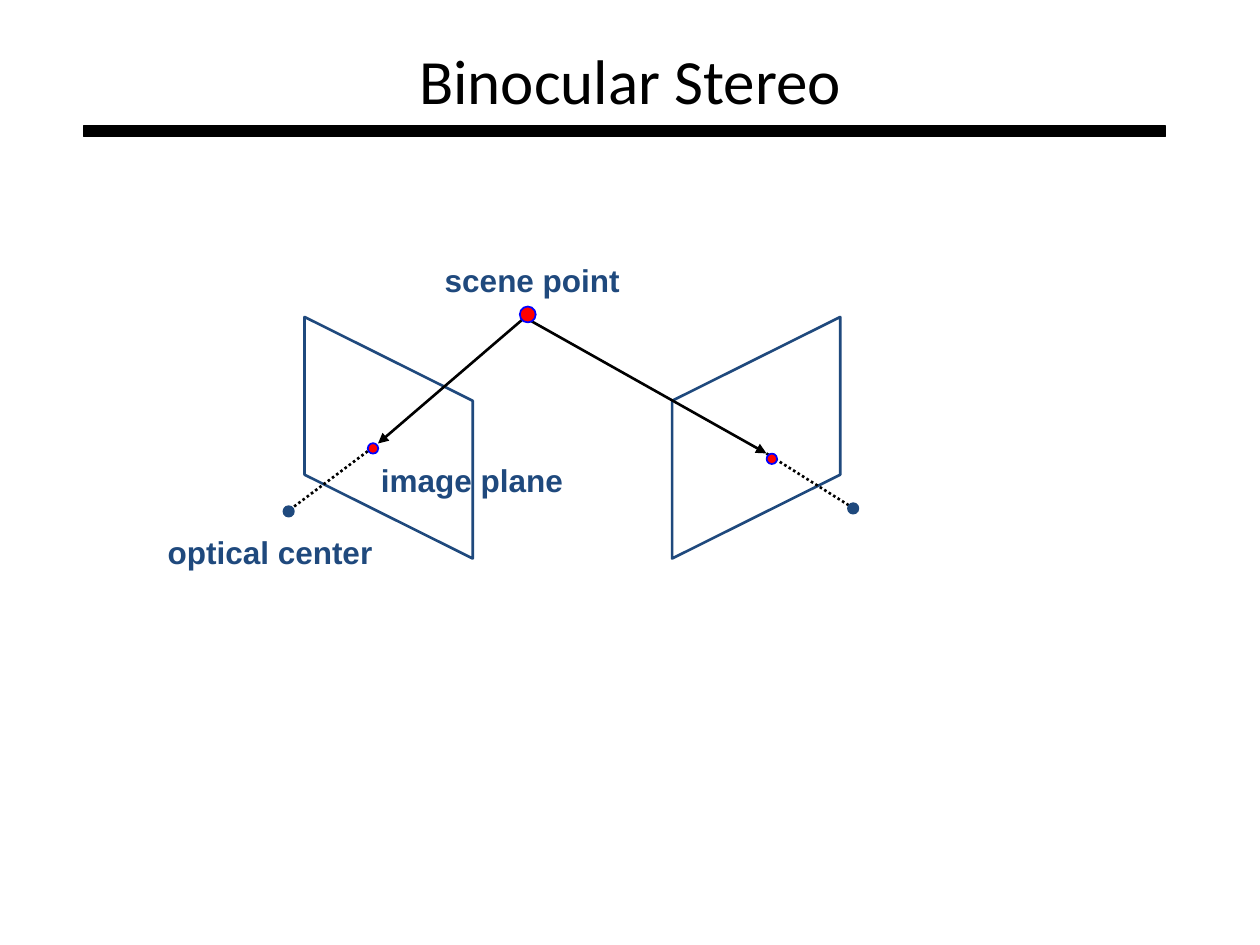
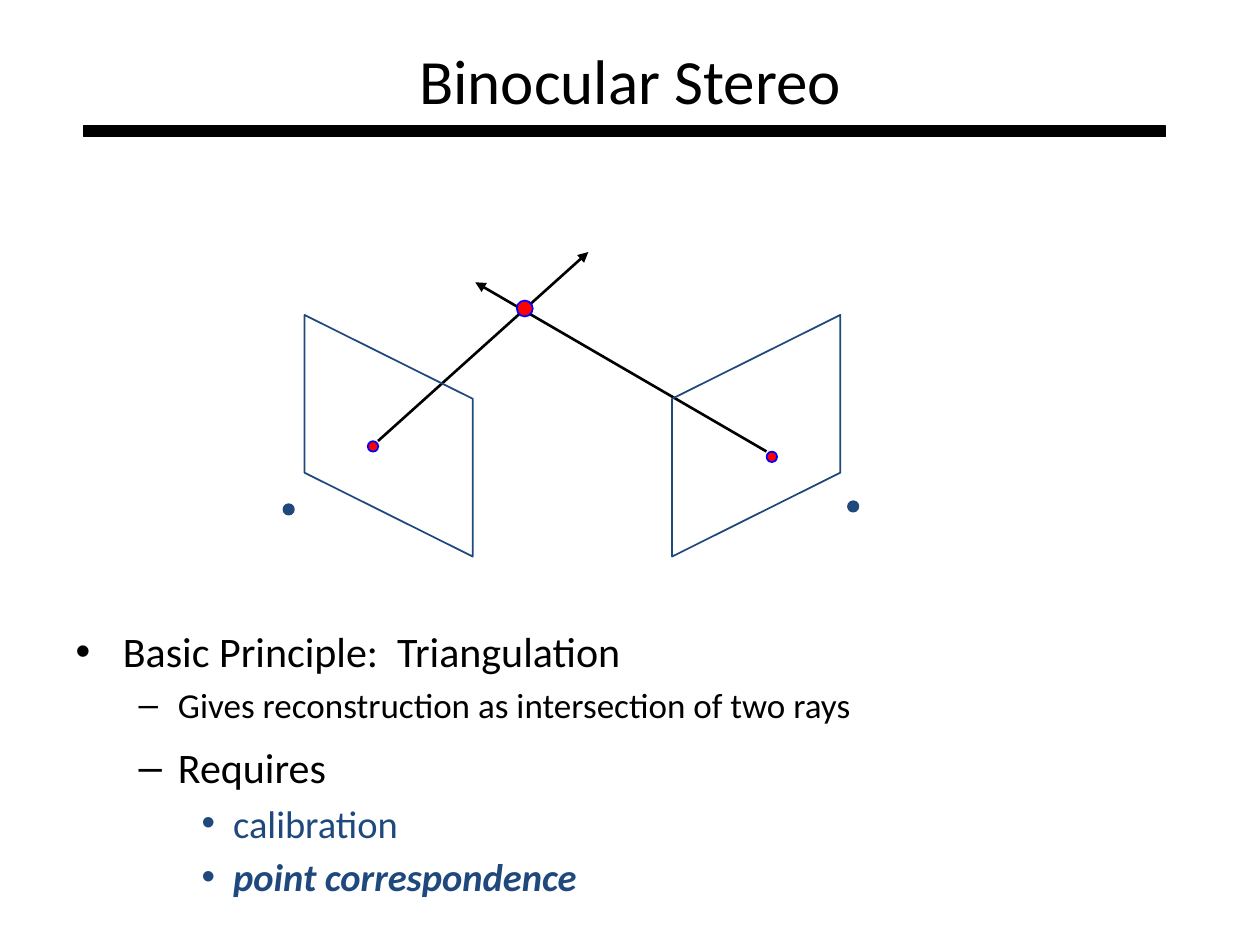
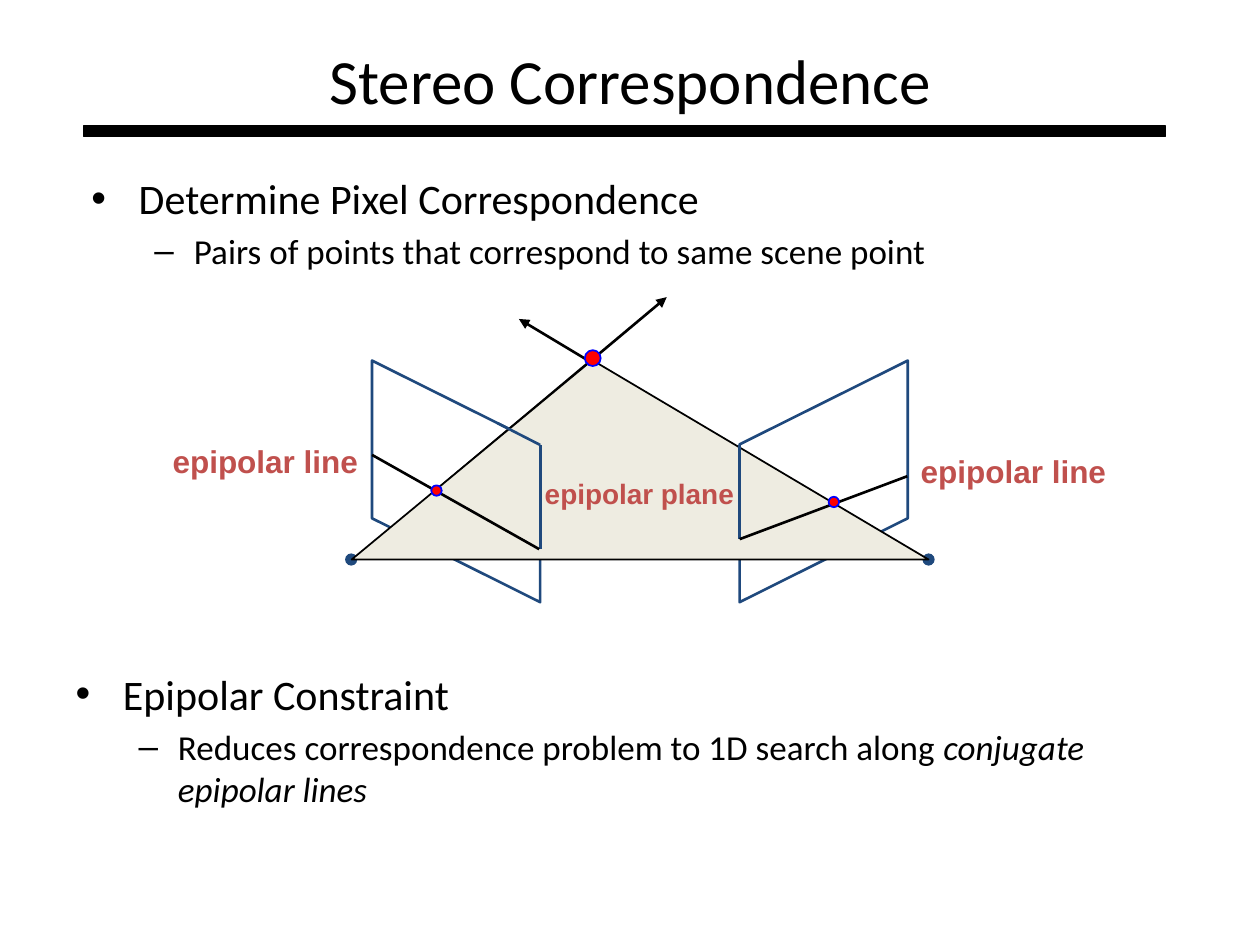
"""Build three slides on binocular stereo and the epipolar constraint."""
from typing import Any, NamedTuple

from lxml.etree import SubElement
from pptx import Presentation
from pptx.dml.color import RGBColor
from pptx.enum.dml import MSO_LINE
from pptx.enum.shapes import MSO_CONNECTOR, MSO_SHAPE
from pptx.enum.text import MSO_ANCHOR, MSO_AUTO_SIZE, PP_ALIGN
from pptx.oxml.ns import qn
from pptx.shapes.base import BaseShape
from pptx.slide import Slide
from pptx.util import Cm, Pt

BLACK, NAVY, RED, BLUE = "000000", "1F497D", "FF0000", "0000FF"
BRICK, CREAM = "C0504D", "EEECE1"
TITLE_ONLY, TWO_CONTENT = 5, 3
PLANE_WIDTH, PLANE_SIDE, PLANE_DROP, PLANE_STEP = 3.39, 3.18, 1.69, 7.41
TITLE_FORMAT = {"name": "Calibri", "size": Pt(36), "bold": False}

Point = tuple[float, float]


class Dot(NamedTuple):
    center: Point
    fill: str = RED
    line: str = BLUE
    diameter: float = 0.21


class Ray(NamedTuple):
    start: Point
    end: Point
    color: str = BLACK
    arrow: bool = False
    dotted: bool = False


class Label(NamedTuple):
    text: str
    left: float
    top: float
    width: float
    color: str = NAVY
    size: float = 18
    height: float = 1.02


class Item(NamedTuple):
    text: str
    level: int = 0
    size: float = 24
    color: str = BLACK
    bold: bool = False
    italic: bool = False
    italic_end: str = ""


def rgb(color: str) -> RGBColor:
    return RGBColor.from_string(color)


def apply(target: Any, formats: dict[str, Any]) -> None:
    for attribute, value in formats.items():
        setattr(target, attribute, value)


def paint(shape: BaseShape, fill: str | None, line: str, width: float) -> None:
    shape.shadow.inherit = False
    if fill:
        shape.fill.solid()
        shape.fill.fore_color.rgb = rgb(fill)
    else:
        shape.fill.background()
    shape.line.color.rgb = rgb(line)
    shape.line.width = Pt(width)


def place(shape: BaseShape, left: float, top: float, width: float, height: float) -> None:
    apply(shape, {"left": Cm(left), "top": Cm(top), "width": Cm(width), "height": Cm(height)})


def start_slide(deck: Any, layout: int, heading: str) -> Slide:
    slide = deck.slides.add_slide(deck.slide_layouts[layout])
    title = slide.shapes.title
    place(title, 1.91, 0, 21.59, 3.18)
    title.text_frame.text = heading
    apply(title.text_frame, {"auto_size": MSO_AUTO_SIZE.NONE, "vertical_anchor": MSO_ANCHOR.MIDDLE})
    paragraph = title.text_frame.paragraphs[0]
    paragraph.alignment = PP_ALIGN.CENTER
    apply(paragraph.runs[0].font, TITLE_FORMAT)
    paragraph.runs[0].font.color.rgb = rgb(BLACK)
    rule = slide.shapes.add_shape(MSO_SHAPE.RECTANGLE, Cm(1.69), Cm(2.54), Cm(21.8), Cm(0.21))
    paint(rule, BLACK, BLACK, 0.75)
    return slide


def fill_list(body: BaseShape, box: tuple[float, float, float, float], items: list[Item]) -> None:
    place(body, *box)
    frame = body.text_frame
    frame.auto_size = MSO_AUTO_SIZE.NONE
    for index, item in enumerate(items):
        paragraph = frame.add_paragraph() if index else frame.paragraphs[0]
        paragraph.level = item.level
        pieces = [(item.text, item.italic), (item.italic_end, True)]
        for text, italic in pieces:
            if text:
                run = paragraph.add_run()
                run.text = text
                apply(run.font, {"name": "Calibri", "size": Pt(item.size),
                                 "bold": item.bold, "italic": italic})
                run.font.color.rgb = rgb(item.color)


def add_outline(slide: Slide, points: list[Point], fill: str | None, line: str, width: float) -> None:
    corners = [(Cm(x), Cm(y)) for x, y in points]
    builder = slide.shapes.build_freeform(*corners[0])
    builder.add_line_segments(corners[1:], close=True)
    paint(builder.convert_to_shape(), fill, line, width)


def add_planes(slide: Slide, left: float, top: float, width: float = 1.5) -> None:
    right = left + PLANE_STEP
    for outer, inner in ((left, left + PLANE_WIDTH), (right + PLANE_WIDTH, right)):
        add_outline(slide, [(outer, top), (outer, top + PLANE_SIDE),
                            (inner, top + PLANE_SIDE + PLANE_DROP), (inner, top + PLANE_DROP)],
                    None, NAVY, width)


def add_rays(slide: Slide, rays: list[Ray]) -> None:
    for ray in rays:
        ends = [Cm(value) for value in ray.start + ray.end]
        connector = slide.shapes.add_connector(MSO_CONNECTOR.STRAIGHT, *ends)
        connector.line.color.rgb = rgb(ray.color)
        connector.line.width = Pt(1.5)
        if ray.dotted:
            connector.line.dash_style = MSO_LINE.ROUND_DOT
        properties = connector._element.spPr
        if ray.arrow:
            SubElement(properties.find(qn("a:ln")), qn("a:tailEnd"), type="triangle")
        SubElement(properties, qn("a:effectLst"))


def add_dots(slide: Slide, dots: list[Dot]) -> None:
    for dot in dots:
        x, y = (Cm(value - dot.diameter / 2) for value in dot.center)
        size = Cm(dot.diameter)
        paint(slide.shapes.add_shape(MSO_SHAPE.OVAL, x, y, size, size), dot.fill, dot.line, 1)


def optical_centers(*centers: Point) -> list[Dot]:
    return [Dot(center, NAVY, NAVY) for center in centers]


def scene_dots(scene: Point, *projections: Point) -> list[Dot]:
    return [*map(Dot, projections), Dot(scene, diameter=0.32)]


def add_labels(slide: Slide, labels: list[Label]) -> None:
    for label in labels:
        box = slide.shapes.add_textbox(Cm(label.left), Cm(label.top), Cm(label.width), Cm(label.height))
        box.text_frame.text = label.text
        apply(box.text_frame, {"word_wrap": False, "auto_size": MSO_AUTO_SIZE.SHAPE_TO_FIT_TEXT,
                               "vertical_anchor": MSO_ANCHOR.MIDDLE})
        paragraph = box.text_frame.paragraphs[0]
        paragraph.alignment = PP_ALIGN.CENTER
        font = paragraph.runs[0].font
        apply(font, {"name": "Arial", "size": Pt(label.size), "bold": True})
        font.color.rgb = rgb(label.color)


def build_projection(deck: Any) -> None:
    slide = start_slide(deck, TITLE_ONLY, "Binocular Stereo")
    add_planes(slide, 6.14, 6.39)
    add_rays(slide, [
        Ray((15.45, 9.14), (17.15, 10.21), dotted=True),
        Ray((10.58, 6.4), (15.45, 9.14), arrow=True),
        Ray((10.58, 6.4), (7.62, 8.94), arrow=True),
        Ray((5.93, 10.21), (7.62, 8.94), dotted=True),
    ])
    add_dots(slide, optical_centers((5.82, 10.31), (17.2, 10.25))
             + scene_dots((10.64, 6.34), (7.52, 9.04), (15.56, 9.25)))
    add_labels(slide, [
        Label("scene point", 8.71, 5.13, 4.04),
        Label("optical center", 3.12, 10.62, 4.65),
        Label("image plane", 7.42, 9.17, 4.19),
    ])


def build_triangulation(deck: Any) -> None:
    slide = start_slide(deck, TWO_CONTENT, "Binocular Stereo")
    fill_list(slide.placeholders[1], (1.27, 12.49, 22.86, 2.54), [
        Item("Basic Principle:  Triangulation"),
        Item("Gives reconstruction as intersection of two rays", 1, 20),
    ])
    fill_list(slide.placeholders[2], (1.27, 14.82, 22.86, 3.18), [
        Item("Requires", 1),
        Item("calibration", 2, 22, NAVY),
        Item("point correspondence", 2, 22, NAVY, bold=True, italic=True),
    ])
    add_rays(slide, [
        Ray((15.45, 9.1), (9.58, 5.69), arrow=True),
        Ray((7.62, 8.89), (11.86, 5.08), arrow=True),
    ])
    add_planes(slide, 6.14, 6.35, 1)
    add_dots(slide, optical_centers((5.82, 10.27), (17.2, 10.21))
             + scene_dots((10.58, 6.22), (7.52, 9), (15.56, 9.21)))


def build_correspondence(deck: Any) -> None:
    slide = start_slide(deck, TWO_CONTENT, "Stereo Correspondence")
    fill_list(slide.placeholders[1], (1.59, 3.35, 22.23, 2.36), [
        Item("Determine Pixel Correspondence"),
        Item("Pairs of points that correspond to same scene point", 1, 20),
    ])
    fill_list(slide.placeholders[2], (1.27, 13.34, 22.86, 5.28), [
        Item("Epipolar Constraint"),
        Item("Reduces correspondence problem to 1D search along ", 1, 20,
             italic_end="conjugate epipolar lines"),
    ])
    add_rays(slide, [Ray((16.81, 10.24), (10.46, 6.43), arrow=True)])
    add_planes(slide, 7.5, 7.27)
    add_rays(slide, [Ray((8.76, 9.91), (13.44, 5.99), arrow=True)])
    add_dots(slide, optical_centers((7.08, 11.28), (18.72, 11.28)))
    add_outline(slide, [(7.09, 11.28), (18.72, 11.28), (11.94, 7.26)], CREAM, BLACK, 1)
    add_rays(slide, [
        Ray((14.91, 8.97), (14.91, 10.87), NAVY),
        Ray((10.89, 8.97), (10.89, 11.07), NAVY),
        Ray((10.89, 8.97), (10.03, 8.53), NAVY),
        Ray((14.91, 10.87), (18.29, 9.6)),
        Ray((10.87, 11.07), (7.5, 9.17)),
    ])
    add_labels(slide, [
        Label("epipolar plane", 10.72, 9.47, 4.34, BRICK, 16, 0.94),
        Label("epipolar line", 18.31, 8.99, 4.24, BRICK),
        Label("epipolar line", 3.23, 8.79, 4.24, BRICK),
    ])
    add_dots(slide, scene_dots((11.95, 7.22), (8.8, 9.89), (16.81, 10.12)))


def main() -> None:
    deck = Presentation()
    apply(deck, {"slide_width": Cm(25.4), "slide_height": Cm(19.05)})
    for build in (build_projection, build_triangulation, build_correspondence):
        build(deck)
    deck.save("out.pptx")


if __name__ == "__main__":
    main()
